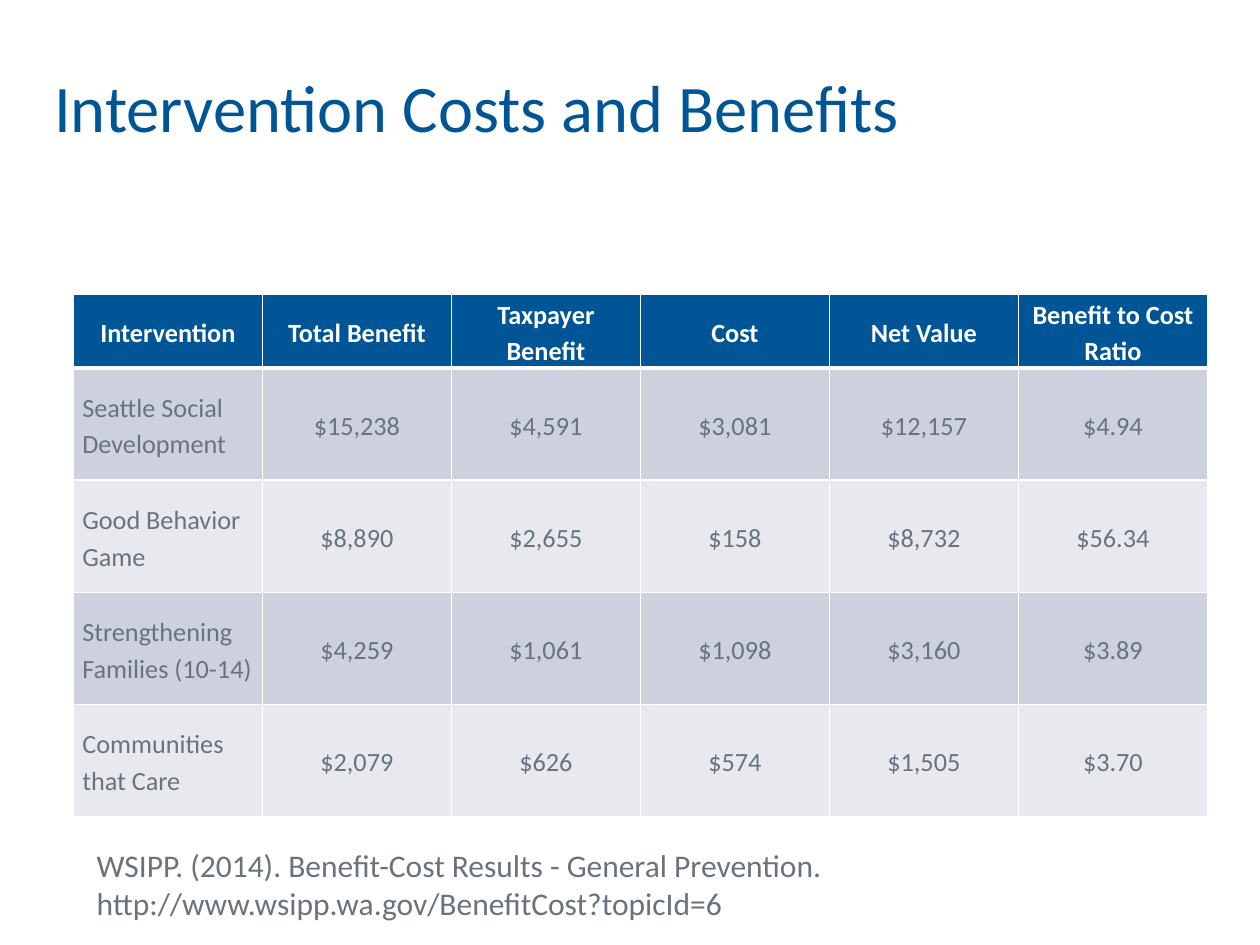
from lxml.etree import SubElement
from pptx import Presentation
from pptx.dml.color import RGBColor
from pptx.enum.text import MSO_ANCHOR, MSO_AUTO_SIZE, PP_ALIGN
from pptx.oxml.ns import qn
from pptx.util import Cm, Pt

BLUE = RGBColor(0x00, 0x55, 0x96)
GREY = RGBColor(0x6A, 0x73, 0x7B)
WHITE = RGBColor(0xFF, 0xFF, 0xFF)
BAND_DARK = RGBColor(0xCC, 0xD1, 0xDD)
BAND_LIGHT = RGBColor(0xE7, 0xE9, 0xEF)

TITLE = "Intervention Costs and Benefits"
SOURCE = (
    "WSIPP. (2014). Benefit-Cost Results - General Prevention. "
    "http://www.wsipp.wa.gov/BenefitCost?topicId=6"
)
INTERVENTIONS = [
    ["Intervention", "Total Benefit", "Taxpayer Benefit", "Cost", "Net Value", "Benefit to Cost Ratio"],
    ["Seattle Social Development", "$15,238", "$4,591", "$3,081", "$12,157", "$4.94"],
    ["Good Behavior Game", "$8,890", "$2,655", "$158", "$8,732", "$56.34"],
    ["Strengthening Families (10-14)", "$4,259", "$1,061", "$1,098", "$3,160", "$3.89"],
    ["Communities that Care", "$2,079", "$626", "$574", "$1,505", "$3.70"],
]
HEADER_HEIGHT = 1.42
ROW_HEIGHT = 2.26
COLUMN_WIDTH = 3.81


def apply(target, formats):
    """Set every format value on the target."""
    for name, value in formats.items():
        setattr(target, name, value)


class SlideBuilder:
    """Holds the text style and the current slide."""

    def __init__(self, deck, font_name="Calibri"):
        self.font_name = font_name
        self.slide = deck.slides.add_slide(deck.slide_layouts[5])

    def set_text(self, frame, text, size, color, bold=False, **paragraph_formats):
        frame.text = text
        paragraph = frame.paragraphs[0]
        apply(paragraph, paragraph_formats)
        font = paragraph.runs[0].font
        apply(font, {"name": self.font_name, "size": Pt(size), "bold": bold})
        font.color.rgb = color

    def title(self, text, left, top, width, height):
        heading = self.slide.shapes.title
        apply(heading, {"left": Cm(left), "top": Cm(top), "width": Cm(width), "height": Cm(height)})
        apply(heading.text_frame, {
            "auto_size": MSO_AUTO_SIZE.NONE, "vertical_anchor": MSO_ANCHOR.MIDDLE,
        })
        self.set_text(heading.text_frame, text, 38, BLUE, alignment=PP_ALIGN.LEFT)

    def citation(self, text, left, top, width, height):
        note = self.slide.shapes.add_textbox(Cm(left), Cm(top), Cm(width), Cm(height))
        note.text_frame.word_wrap = True
        self.set_text(note.text_frame, text, 18, GREY)

    def borders(self, cell, widths):
        properties = cell._tc.get_or_add_tcPr()
        for side, width in widths.items():
            line = SubElement(properties, qn(f"a:ln{side}"), w=str(Pt(width)))
            fill = SubElement(line, qn("a:solidFill"))
            SubElement(fill, qn("a:srgbClr"), val=str(WHITE))

    def table(self, rows, left, top):
        heights = [HEADER_HEIGHT] + [ROW_HEIGHT] * (len(rows) - 1)
        columns = len(rows[0])
        grid = self.slide.shapes.add_table(
            len(rows), columns, Cm(left), Cm(top), Cm(COLUMN_WIDTH * columns), Cm(sum(heights))
        ).table
        grid.horz_banding = False
        for row_index, (values, height) in enumerate(zip(rows, heights)):
            grid.rows[row_index].height = Cm(height)
            for column_index, value in enumerate(values):
                self.cell(grid.cell(row_index, column_index), value, row_index, column_index)

    def cell(self, cell, value, row_index, column_index):
        header = row_index == 0
        apply(cell, {
            "vertical_anchor": MSO_ANCHOR.MIDDLE,
            "margin_left": Cm(0.18), "margin_right": Cm(0.18),
            "margin_top": 0, "margin_bottom": 0,
        })
        self.borders(cell, {
            "L": 1, "R": 1, "T": 3 if row_index == 1 else 1, "B": 3 if header else 1,
        })
        cell.fill.solid()
        band = BAND_DARK if row_index % 2 else BAND_LIGHT
        cell.fill.fore_color.rgb = BLUE if header else band
        centred = header or column_index > 0
        self.set_text(
            cell.text_frame, value, 15, WHITE if header else GREY, bold=header,
            alignment=PP_ALIGN.CENTER if centred else PP_ALIGN.LEFT, line_spacing=1.15,
        )


def main():
    deck = Presentation()
    apply(deck, {"slide_width": Cm(25.4), "slide_height": Cm(19.05)})
    builder = SlideBuilder(deck)
    builder.title(TITLE, 0.84, 1.09, 23.88, 2.08)
    builder.table(INTERVENTIONS, 1.48, 5.93)
    builder.citation(SOURCE, 1.7, 16.94, 22.66, 1.45)
    deck.save("out.pptx")


if __name__ == "__main__":
    main()
